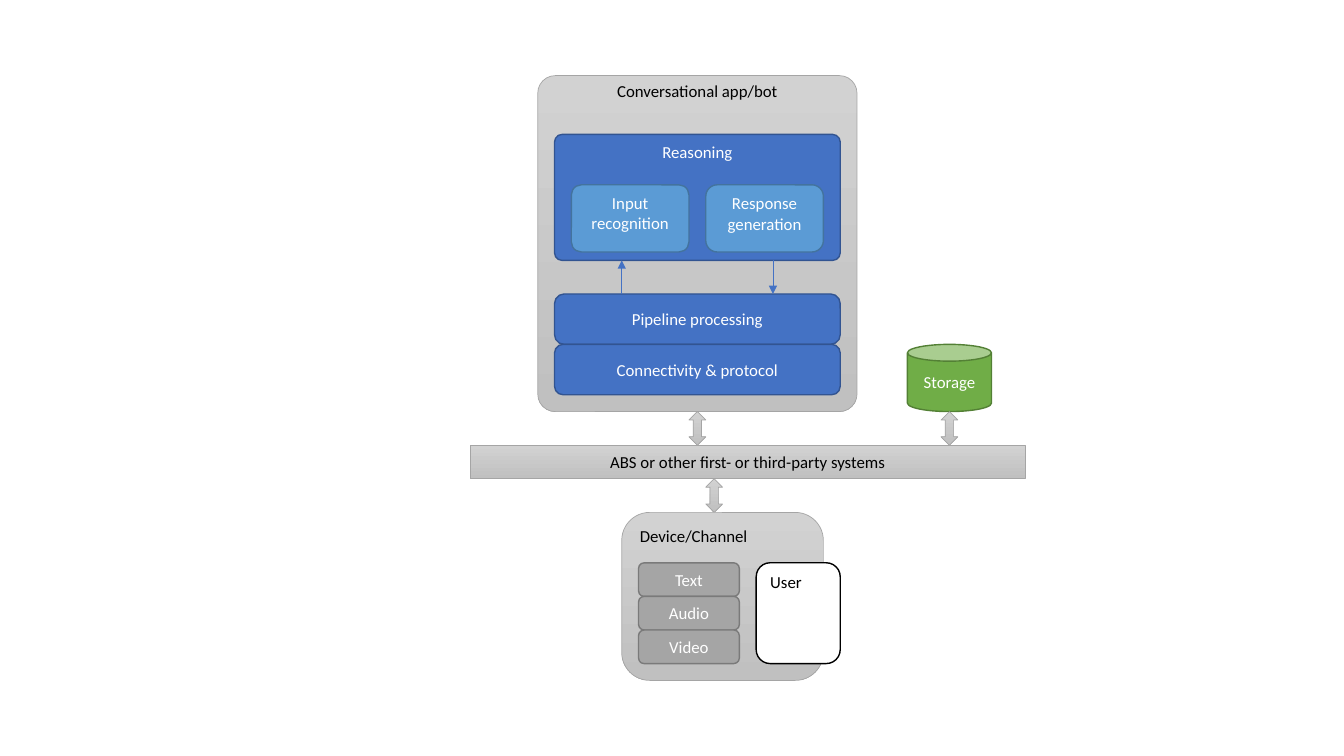
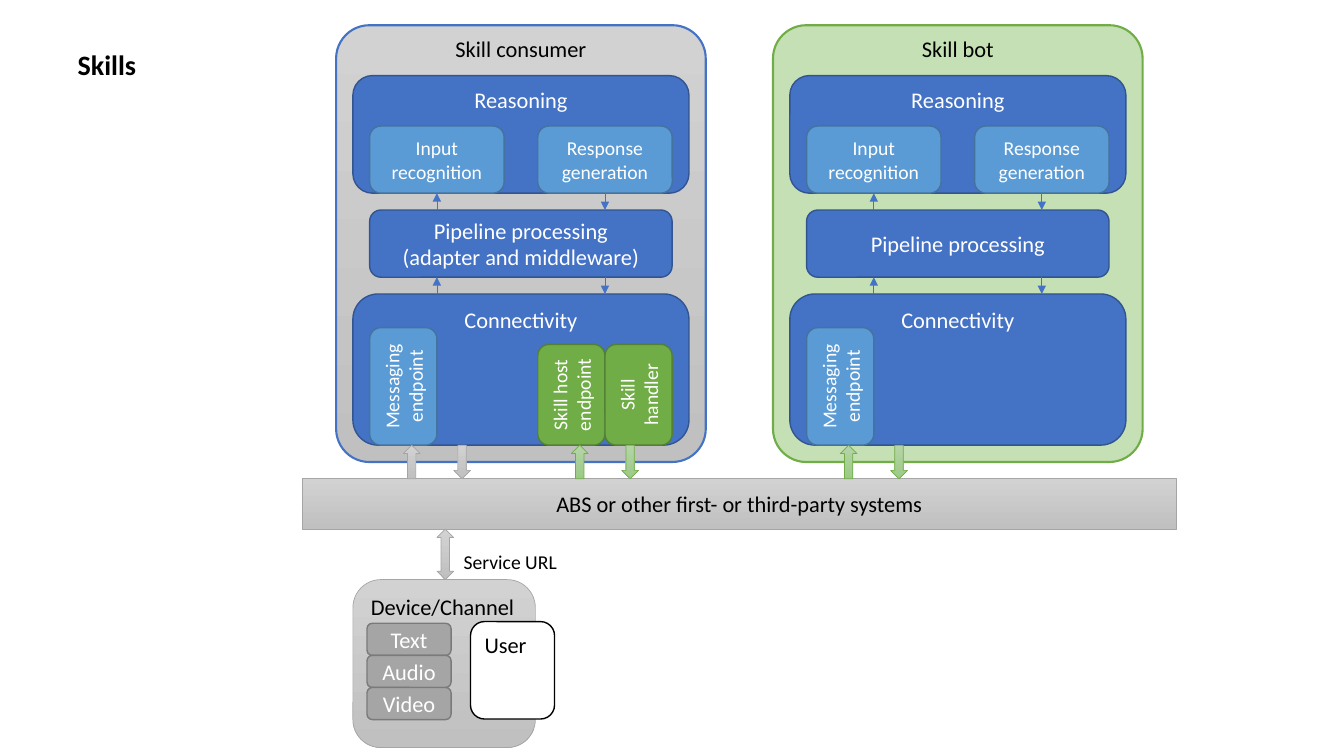
"""Build two architecture slides: a conversational bot, and a skill consumer with its skill bot."""
from lxml.etree import SubElement
from pptx import Presentation
from pptx.dml.color import RGBColor
from pptx.enum.shapes import MSO_CONNECTOR as Connector, MSO_SHAPE as Shape
from pptx.enum.text import MSO_ANCHOR as Anchor, MSO_AUTO_SIZE as AutoSize, PP_ALIGN as Align
from pptx.oxml.ns import qn
from pptx.util import Inches, Pt

FONT = "Calibri"
BLACK, WHITE = RGBColor(0, 0, 0), RGBColor(255, 255, 255)
BLUE, DARK_BLUE = RGBColor(0x44, 0x72, 0xC4), RGBColor(0x32, 0x54, 0x91)
SKY, DARK_SKY = RGBColor(0x5B, 0x9B, 0xD5), RGBColor(0x43, 0x73, 0x9E)
GREEN, DARK_GREEN = RGBColor(0x70, 0xAD, 0x47), RGBColor(0x53, 0x80, 0x35)
GRAY, DARK_GRAY = RGBColor(0xA5, 0xA5, 0xA5), RGBColor(0x7A, 0x7A, 0x7A)
PALE_GREEN = RGBColor(0xC5, 0xE0, 0xB4)
SILVER = [RGBColor(0xD2, 0xD2, 0xD2), RGBColor(0xC0, 0xC0, 0xC0)]
LEAF = [RGBColor(0xB5, 0xD5, 0xA7), RGBColor(0x9C, 0xC9, 0x87)]

STYLES = {
    "system": (SILVER, GRAY, 0.5, BLACK),
    "consumer": (SILVER, BLUE, 1.5, BLACK),
    "skill bot": (PALE_GREEN, GREEN, 1.5, BLACK),
    "stage": (BLUE, DARK_BLUE, 1, WHITE),
    "part": (SKY, DARK_SKY, 1, WHITE),
    "skill": (GREEN, DARK_GREEN, 1, WHITE),
    "skill flow": (LEAF, GREEN, 0.5, BLACK),
    "channel": (GRAY, DARK_GRAY, 1, WHITE),
    "user": (WHITE, BLACK, 1, BLACK),
}

SYSTEMS = "ABS or other first- or third-party systems"
CHANNELS = ["Text", "Audio", "Video"]

APP_BOXES = [
    ("Reasoning", (33, 8, 17, 7.5), "stage", Anchor.TOP, 0.06),
    ("Input recognition", (34, 11, 7, 4), "part", Anchor.TOP, 0.15),
    ("Response generation", (42, 11, 7, 4), "part", Anchor.TOP, 0.17),
    ("Pipeline processing", (33, 17.5, 17, 3), "stage", Anchor.MIDDLE, 0.19),
    ("Connectivity & protocol", (33, 20.5, 17, 3), "stage", Anchor.MIDDLE, 0.17),
]
APP_FLOWS = [(41, 24.5), (42, 28.5), (56, 24.5)]

BOTS = [
    {"name": "Skill bot", "left": 46, "style": "skill bot",
     "pipeline": "Pipeline processing",
     "endpoints": [("Messaging endpoint", 2, 7, "part")],
     "flows": [(4, Shape.UP_ARROW, "skill flow"), (7, Shape.DOWN_ARROW, "skill flow")]},
    {"name": "Skill consumer", "left": 20, "style": "consumer",
     "pipeline": "Pipeline processing\n(adapter and middleware)",
     "endpoints": [("Messaging endpoint", 2, 7, "part"),
                   ("Skill host endpoint", 12, 6, "skill"),
                   ("Skill handler", 16, 6, "skill")],
     "flows": [(4, Shape.UP_ARROW, "system"), (7, Shape.DOWN_ARROW, "system"),
               (14, Shape.UP_ARROW, "skill flow"), (17, Shape.DOWN_ARROW, "skill flow")]},
]


def grid(count):
    """Convert grid units, six to the inch, to a length."""
    return Inches(count / 6)


def write(frame, text, size, color, align, bold=False):
    """Write text into a frame, breaking its lines inside one paragraph."""
    paragraph = frame.paragraphs[0]
    paragraph.alignment = align
    for index, line in enumerate(text.split("\n")):
        if index:
            paragraph.add_line_break()
        run = paragraph.add_run()
        run.text = line
        run.font.name, run.font.size, run.font.bold = FONT, Pt(size), bold
        run.font.color.rgb = color


def add_box(shapes, bounds, style, text="", size=12, kind=Shape.ROUNDED_RECTANGLE,
            anchor=Anchor.MIDDLE, align=Align.CENTER, corner=None, vertical=False):
    """Add a styled shape whose bounds are given in grid units as seen."""
    left, top, width, height = bounds
    if vertical:
        left, top = left + (width - height) / 2, top + (height - width) / 2
        width, height = height, width
    shape = shapes.add_shape(kind, grid(left), grid(top), grid(width), grid(height))
    shape.shadow.inherit = False
    if vertical:
        shape.rotation = 270
    if corner:
        shape.adjustments[0] = corner
    fill, line, weight, color = STYLES[style]
    if isinstance(fill, list):
        shape.fill.gradient()
        shape.fill.gradient_angle = 270
        for stop, stop_color in zip(shape.fill.gradient_stops, fill):
            stop.color.rgb = stop_color
    else:
        shape.fill.solid()
        shape.fill.fore_color.rgb = fill
    shape.line.color.rgb = line
    shape.line.width = Pt(weight)
    if text:
        shape.text_frame.word_wrap = True
        shape.text_frame.vertical_anchor = anchor
        write(shape.text_frame, text, size, color, align)
    return shape


def add_panel(shapes, bounds, style, text, size, corner):
    """Add the outer panel of a bot, with its name at the very top."""
    panel = add_box(shapes, bounds, style, text, size, anchor=Anchor.TOP, corner=corner)
    panel.text_frame.margin_top = 0


def add_arrow(shapes, x, start, end, source=None, target=None):
    """Add a thin vertical arrow, joined to the boxes whose bottom it meets."""
    arrow = shapes.add_connector(Connector.STRAIGHT, grid(x), grid(start), grid(x), grid(end))
    arrow.line.color.rgb = BLUE
    arrow.line.width = Pt(0.5)
    SubElement(arrow.line._get_or_add_ln(), qn("a:tailEnd"), type="triangle")
    SubElement(arrow._element.spPr, qn("a:effectLst"))
    if source:
        arrow.begin_connect(source, 2)
    if target:
        arrow.end_connect(target, 2)


def add_device(slide, size, frame, user, channel):
    """Add the device group: its frame, the user and the stacked channels."""
    shapes = slide.shapes.add_group_shape().shapes
    for text, bounds, style in (("Device/Channel", frame, "system"), ("User", user, "user")):
        add_box(shapes, bounds, style, text, size, anchor=Anchor.TOP, align=Align.LEFT)
    left, top, width, height = channel
    for row, name in enumerate(CHANNELS):
        add_box(shapes, (left, top + row * height, width, height), "channel", name, size)


def add_bot(slide, bot):
    """Add one bot of the skills slide as a group."""
    shapes = slide.shapes.add_group_shape().shapes
    left = bot["left"]
    add_panel(shapes, (left, 1.5, 22, 26), bot["style"], bot["name"], 16, 0.09)
    add_box(shapes, (left + 1, 4.5, 20, 7), "stage", "Reasoning", 16, anchor=Anchor.TOP)
    recognition, generation = [
        add_box(shapes, (left + offset, 7.5, 8, 4), "part", text, 14)
        for text, offset in (("Input recognition", 2), ("Response generation", 12))]
    add_box(shapes, (left + 2, 12.5, 18, 4), "stage", bot["pipeline"], 16)
    add_box(shapes, (left + 1, 17.5, 20, 9), "stage", "Connectivity", 16, anchor=Anchor.TOP)
    add_arrow(shapes, left + 16, 11.5, 12.5, source=generation)
    add_arrow(shapes, left + 16, 16.5, 17.5)
    add_arrow(shapes, left + 6, 12.5, 11.5, target=recognition)
    add_arrow(shapes, left + 6, 17.5, 16.5)
    for text, offset, height, style in bot["endpoints"]:
        add_box(shapes, (left + offset, 26.5 - height, 4, height), style, text, 14, vertical=True)
    for offset, kind, style in bot["flows"]:
        add_box(shapes, (left + offset, 26.5, 1, 2), style, kind=kind)


def build_app_slide(presentation):
    """Build the slide of a single conversational app."""
    slide = presentation.slides.add_slide(presentation.slide_layouts[6])
    add_box(slide.shapes, (28, 26.5, 33, 2), "system", SYSTEMS, kind=Shape.RECTANGLE)
    add_box(slide.shapes, (54, 20.5, 5, 4), "skill", "Storage", kind=Shape.CAN)
    for left, top in APP_FLOWS:
        add_box(slide.shapes, (left, top, 1, 2), "system", kind=Shape.UP_DOWN_ARROW)
    app = slide.shapes.add_group_shape().shapes
    add_panel(app, (32, 4.5, 19, 20), "system", "Conversational app/bot", 12, 0.055)
    for text, bounds, style, anchor, corner in APP_BOXES:
        add_box(app, bounds, style, text, anchor=anchor, corner=corner)
    add_arrow(app, 46, 15.5, 17.5)
    add_arrow(app, 37, 17.5, 15.5)
    add_device(slide, 12, (37, 30.5, 12, 10), (45, 33.5, 5, 6), (38, 33.5, 6, 2))


def build_skills_slide(presentation):
    """Build the slide of a skill consumer and its skill bot."""
    slide = presentation.slides.add_slide(presentation.slide_layouts[5])
    title = slide.shapes.title
    title.left, title.top, title.width, title.height = (
        Inches(0.67), Inches(0.42), Inches(1), Inches(0.44))
    title.text_frame.auto_size = AutoSize.NONE
    title.text_frame.vertical_anchor = Anchor.TOP
    write(title.text_frame, "Skills", 20, BLACK, Align.LEFT, bold=True)
    add_box(slide.shapes, (18, 28.5, 52, 3), "system", SYSTEMS, 16, Shape.RECTANGLE)
    for bot in BOTS:
        add_bot(slide, bot)
    add_box(slide.shapes, (26, 31.5, 1, 3), "system", kind=Shape.UP_DOWN_ARROW)
    add_device(slide, 16, (21, 34.5, 10.86, 10), (28, 37, 5, 5.8), (21.84, 37.1, 5, 1.91))
    label = slide.shapes.add_textbox(Inches(4.5), Inches(5.41), Inches(1.13), Inches(0.34))
    label.text_frame.word_wrap = False
    write(label.text_frame, "Service URL", 14, BLACK, Align.LEFT)


def main():
    """Build and save the presentation."""
    presentation = Presentation()
    presentation.slide_width, presentation.slide_height = Inches(13.33), Inches(7.5)
    build_app_slide(presentation)
    build_skills_slide(presentation)
    presentation.save("out.pptx")


if __name__ == "__main__":
    main()
